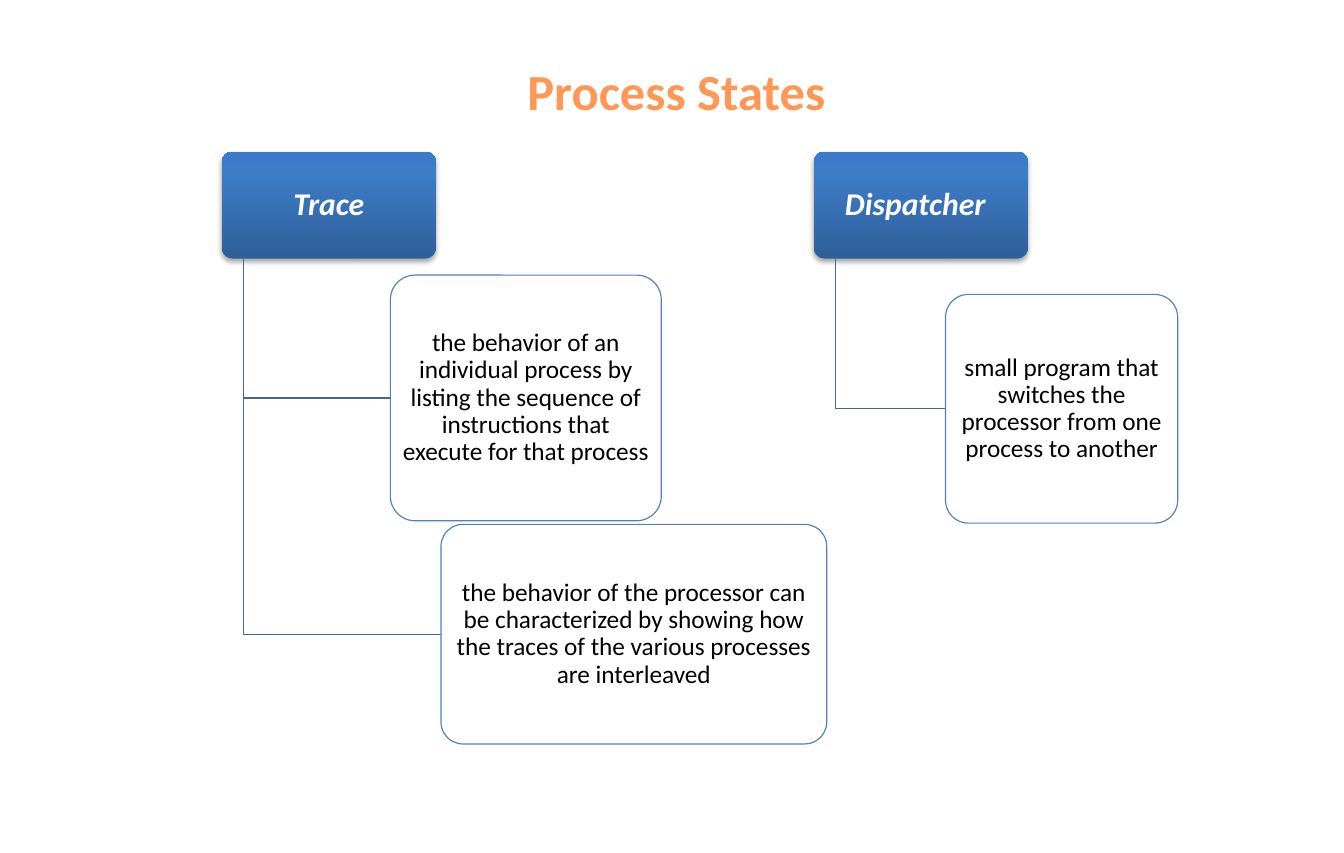
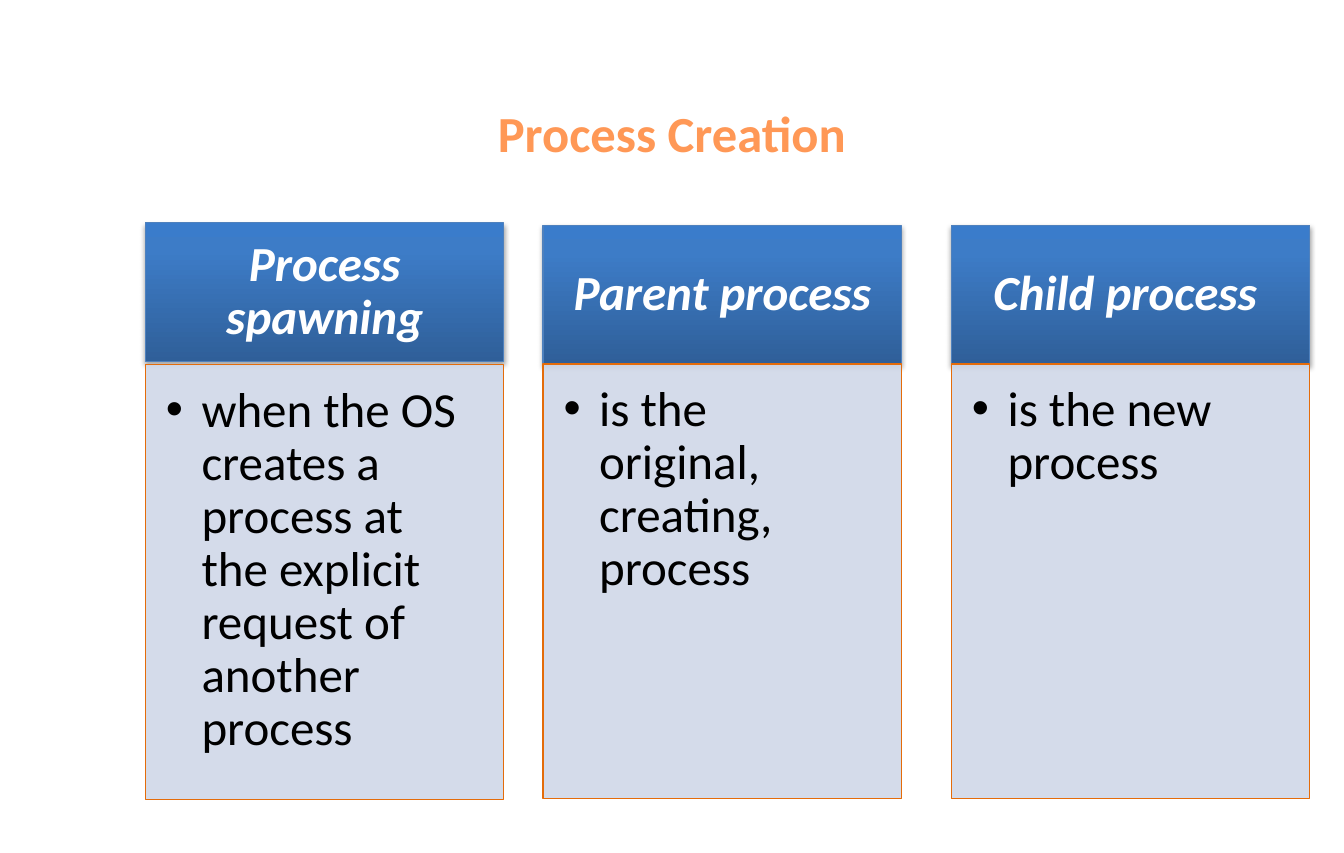
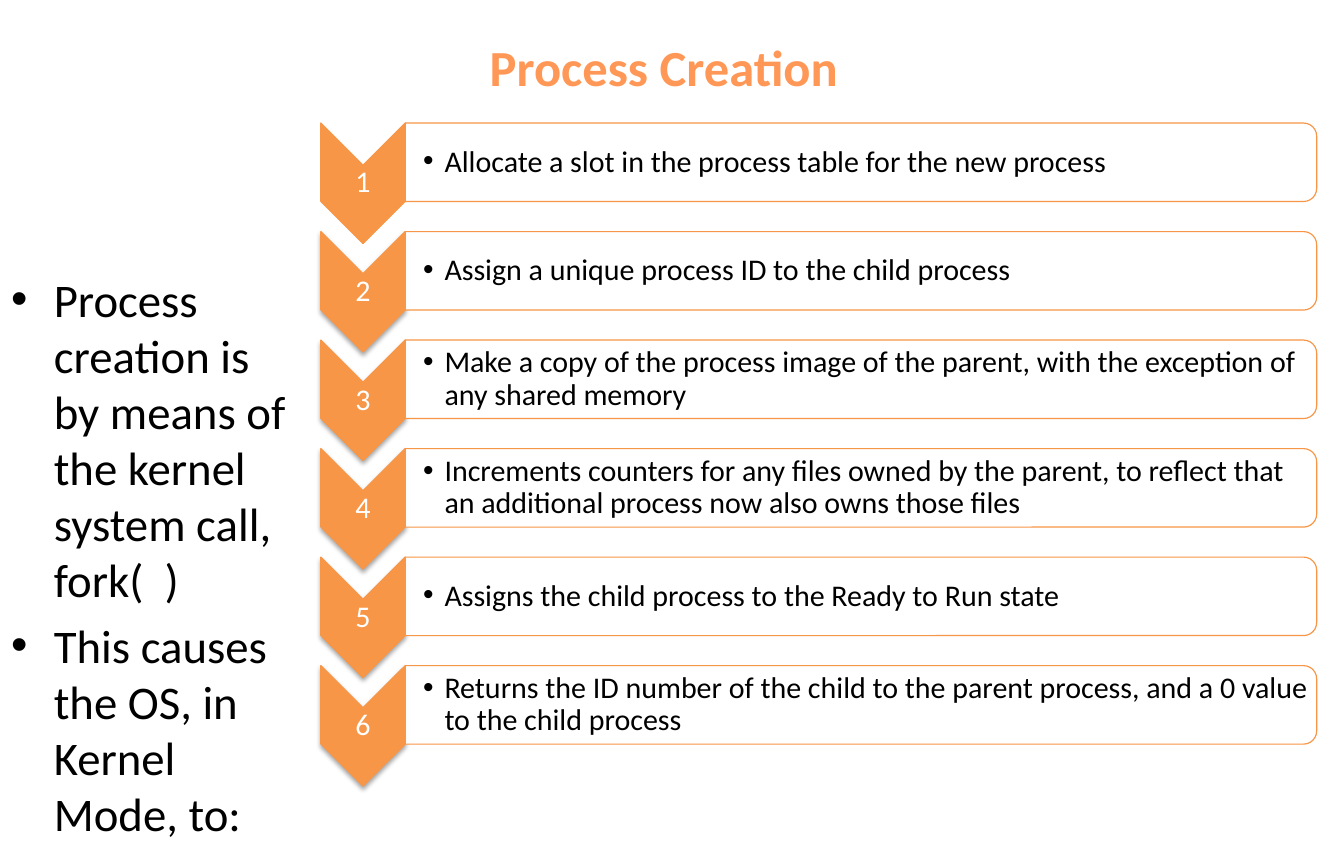
from dataclasses import dataclass
from typing import NamedTuple, Optional

from pptx import Presentation
from pptx.dml.color import RGBColor
from pptx.enum.shapes import MSO_SHAPE as Preset
from pptx.enum.text import MSO_ANCHOR as Anchor, PP_ALIGN as Align
from pptx.oxml import parse_xml
from pptx.oxml.ns import nsdecls, qn
from pptx.oxml.xmlchemy import OxmlElement
from pptx.shapes.autoshape import Shape
from pptx.slide import Slide
from pptx.util import Pt


@dataclass(frozen=True)
class Theme:
    font: str = "Calibri"
    title: str = "FF9856"
    white: str = "FFFFFF"
    black: str = "000000"
    blue: str = "4F81BD"
    elbow: str = "3F6797"
    panel: str = "D0D8E8"
    panel_line: str = "E46C0A"
    orange: str = "F79646"
    gradient: tuple = ((0, "2F5F99"), (80, "3D7CC7"), (100, "3A7CCB"))
    hairline: float = 0.75
    title_size: float = 32
    topic_size: float = 20
    detail_size: float = 16
    column_size: float = 31
    step_size: float = 19
    body_size: float = 29.6


T = Theme()


class Box(NamedTuple):
    left: float
    top: float
    width: float
    height: float

    def pts(self) -> tuple:
        return tuple(Pt(v) for v in self)

    def turned(self) -> "Box":
        cx, cy = self.left + self.width / 2, self.top + self.height / 2
        return Box(cx - self.height / 2, cy - self.width / 2, self.height, self.width)


class Insets(NamedTuple):
    left: float = 7.2
    top: float = 3.6
    right: float = 7.2
    bottom: float = 3.6


@dataclass(frozen=True)
class Style:
    size: float
    color: str = T.black
    bold: bool = False
    italic: bool = False
    align: Align = Align.CENTER
    anchor: Anchor = Anchor.MIDDLE
    spacing: Optional[float] = 0.9
    before: float = 0
    indent: float = 0
    insets: Insets = Insets()


@dataclass(frozen=True)
class Detail:
    text: str
    box: Box


@dataclass(frozen=True)
class Topic:
    text: str
    left: float
    details: tuple
    trail: float = 0


@dataclass(frozen=True)
class Column:
    head: str
    text: str
    left: float
    head_top: float
    body_top: float
    trail: float = 0


TITLE = Style(T.title_size, T.title, bold=True, spacing=None)
DETAIL = Style(T.detail_size, insets=Insets(2, 1.5, 2, 1.5))
PANEL = Style(T.column_size, align=Align.LEFT, anchor=Anchor.TOP, indent=22.5,
              insets=Insets(13, 13, 17.3, 19.4))
BODY = Style(T.body_size, align=Align.LEFT, anchor=Anchor.TOP, spacing=None,
             before=5.9, indent=27)
NUMBER = Style(T.step_size, T.white, insets=Insets(0.9, 0.9, 0.9, 0.9))
STEP = Style(T.step_size, align=Align.LEFT, indent=13.5,
             insets=Insets(10.8, 0.9, 0.9, 0.9))

TOPICS = (
    Topic("Trace", 140.4, (
        Detail("the behavior of an individual process by listing the sequence of "
               "instructions that execute for that process",
               Box(247, 174.2, 171.4, 155.5)),
        Detail("the behavior of the processor can be characterized by showing how "
               "the traces of the various processes are interleaved",
               Box(279, 332, 244.1, 139)),
    )),
    Topic("Dispatcher", 515, (
        Detail("small program that switches the processor from one process to another",
               Box(598.3, 186.4, 146.9, 144.8)),
    ), trail=7.2),
)

COLUMNS = (
    Column("Process spawning",
           "when the OS creates a process at the explicit request of another process",
           92, 141, 231),
    Column("Parent process", "is the original, creating, process", 343.6, 142.5, 230.4),
    Column("Child process", "is the new process", 602, 142.5, 230.4, trail=7),
)

STEPS = (
    "Allocate a slot in the process table for the new process",
    "Assign a unique process ID to the child process",
    "Make a copy of the process image of the parent, with the exception of any "
    "shared memory",
    "Increments counters for any files owned by the parent, to reflect that an "
    "additional process now also owns those files",
    "Assigns the child process to the Ready to Run state",
    "Returns the ID number of the child to the parent process, and a 0 value to "
    "the child process",
)


def write(sp: Shape, texts: tuple, style: Style) -> None:
    tf = sp.text_frame
    tf.word_wrap = True
    tf.vertical_anchor = style.anchor
    (tf.margin_left, tf.margin_top,
     tf.margin_right, tf.margin_bottom) = (Pt(v) for v in style.insets)
    for i, text in enumerate(texts):
        p = tf.add_paragraph() if i else tf.paragraphs[0]
        p.alignment = style.align
        if style.spacing:
            p.line_spacing = style.spacing
        if i and style.before:
            p.space_before = Pt(style.before)
        if style.indent:
            pPr = p._p.get_or_add_pPr()
            pPr.set("marL", str(Pt(style.indent)))
            pPr.set("indent", str(-Pt(style.indent)))
            bullet_font = OxmlElement("a:buFont")
            bullet_font.set("typeface", "Arial")
            bullet = OxmlElement("a:buChar")
            bullet.set("char", "•")
            pPr.extend([bullet_font, bullet])
        r = p.add_run()
        r.text = text
        r.font.name = T.font
        r.font.size = Pt(style.size)
        r.font.bold = style.bold
        r.font.italic = style.italic
        r.font.color.rgb = RGBColor.from_string(style.color)


def add_text(s: Slide, box: Box, texts: tuple, style: Style) -> None:
    write(s.shapes.add_textbox(*box.pts()), texts, style)


def set_line(sp: Shape, color: Optional[str]) -> None:
    if color is None:
        sp.line.fill.background()
        return
    sp.line.color.rgb = RGBColor.from_string(color)
    sp.line.width = Pt(T.hairline)


def add_shadow(sp: Shape) -> None:
    sp._element.spPr.find(qn("a:effectLst")).append(parse_xml(
        f'<a:outerShdw {nsdecls("a")} blurRad="{Pt(3.1)}" dist="{Pt(1.8)}" '
        'dir="5400000" rotWithShape="0"><a:srgbClr val="000000">'
        '<a:alpha val="35000"/></a:srgbClr></a:outerShdw>'))


def add_box(s: Slide, preset: Preset, box: Box, fill: str, line: Optional[str],
            opacity: int = 100, shadow: bool = False, rotation: float = 0) -> Shape:
    sp = s.shapes.add_shape(preset, *box.pts())
    sp.rotation = rotation
    sp.shadow.inherit = False
    sp.fill.solid()
    sp.fill.fore_color.rgb = RGBColor.from_string(fill)
    if opacity < 100:
        alpha = OxmlElement("a:alpha")
        alpha.set("val", str(opacity * 1000))
        sp._element.spPr.find(qn("a:solidFill"))[0].append(alpha)
    set_line(sp, line)
    if shadow:
        add_shadow(sp)
    if preset == Preset.ROUNDED_RECTANGLE:
        sp.adjustments[0] = 0.1
    return sp


def add_header(s: Slide, preset: Preset, box: Box, line: Optional[str], text: str,
               size: float, insets: Insets, trail: float) -> None:
    sp = add_box(s, preset, box, T.blue, line, shadow=True)
    stops = "".join(f'<a:gs pos="{pos * 1000}"><a:srgbClr val="{color}"/></a:gs>'
                    for pos, color in T.gradient)
    spPr = sp._element.spPr
    spPr.replace(spPr.find(qn("a:solidFill")), parse_xml(
        f'<a:gradFill {nsdecls("a")} rotWithShape="1"><a:gsLst>{stops}</a:gsLst>'
        '<a:lin ang="16200000" scaled="0"/></a:gradFill>'))
    write(sp, (text,), Style(size, T.white, bold=True, italic=True,
                             insets=insets._replace(right=insets.right + trail)))


def add_elbow(s: Slide, x: float, top: float, end_x: float, end_y: float) -> None:
    fb = s.shapes.build_freeform(Pt(x), Pt(top))
    fb.add_line_segments([(Pt(x), Pt(end_y)), (Pt(end_x), Pt(end_y))], close=False)
    sp = fb.convert_to_shape()
    sp.shadow.inherit = False
    sp.fill.background()
    set_line(sp, T.elbow)


def add_topic(s: Slide, topic: Topic) -> None:
    head = Box(topic.left, 96, 135.4, 67.7)
    add_header(s, Preset.ROUNDED_RECTANGLE, head, None, topic.text, T.topic_size,
               Insets(2.9, 2, 2.9, 2), topic.trail)
    for detail in topic.details:
        box = detail.box
        add_elbow(s, head.left + head.width / 10, head.top + head.height,
                  box.left, box.top + box.height / 2)
        sp = add_box(s, Preset.ROUNDED_RECTANGLE, box, T.white, T.blue, opacity=90)
        write(sp, (detail.text,), DETAIL)


def add_column(s: Slide, col: Column) -> None:
    width = 226.8
    add_header(s, Preset.RECTANGLE, Box(col.left, col.head_top, width, 87.8), T.blue,
               col.head, T.column_size, Insets(17.3, 10, 17.3, 10), col.trail)
    sp = add_box(s, Preset.RECTANGLE, Box(col.left, col.body_top, width, 275),
                 T.panel, T.panel_line, opacity=90)
    write(sp, (col.text,), PANEL)


def add_step(s: Slide, index: int, text: str) -> None:
    top = 77.9 + index * 68.7
    arrow = Box(203, top, 53.4, 76.3)
    card = Box(256.4, top, 576.7, 49.7)
    add_box(s, Preset.CHEVRON, arrow.turned(), T.orange, T.orange,
            shadow=index > 0, rotation=90)
    add_text(s, Box(arrow.left, top + 26.6, arrow.width, 23), (str(index + 1),), NUMBER)
    add_box(s, Preset.ROUND_2_SAME_RECTANGLE, card.turned(), T.white, T.orange,
            opacity=90, rotation=90)
    add_text(s, Box(257, top + 2.5, 573.8, 44.7), (text,), STEP)


def add_slide(prs: Presentation, title: str, box: Box) -> Slide:
    s = prs.slides.add_slide(prs.slide_layouts[6])
    add_text(s, box, (title,), TITLE)
    return s


def main() -> None:
    prs = Presentation()
    prs.slide_width, prs.slide_height = Pt(850.4), Pt(540)

    s = add_slide(prs, "Process States", Box(64, 12.2, 728, 90))
    for topic in TOPICS:
        add_topic(s, topic)

    s = add_slide(prs, "Process Creation", Box(61.2, 36, 728, 95.8))
    for col in COLUMNS:
        add_column(s, col)

    s = add_slide(prs, "Process Creation", Box(0, 5.8, 840.2, 72))
    add_text(s, Box(0, 167.8, 198.7, 329.8),
             ("Process creation is by means of the kernel system call, fork(  )",
              "This causes the OS, in Kernel Mode, to:"), BODY)
    for i, text in enumerate(STEPS):
        add_step(s, i, text)

    prs.save("out.pptx")


if __name__ == "__main__":
    main()
